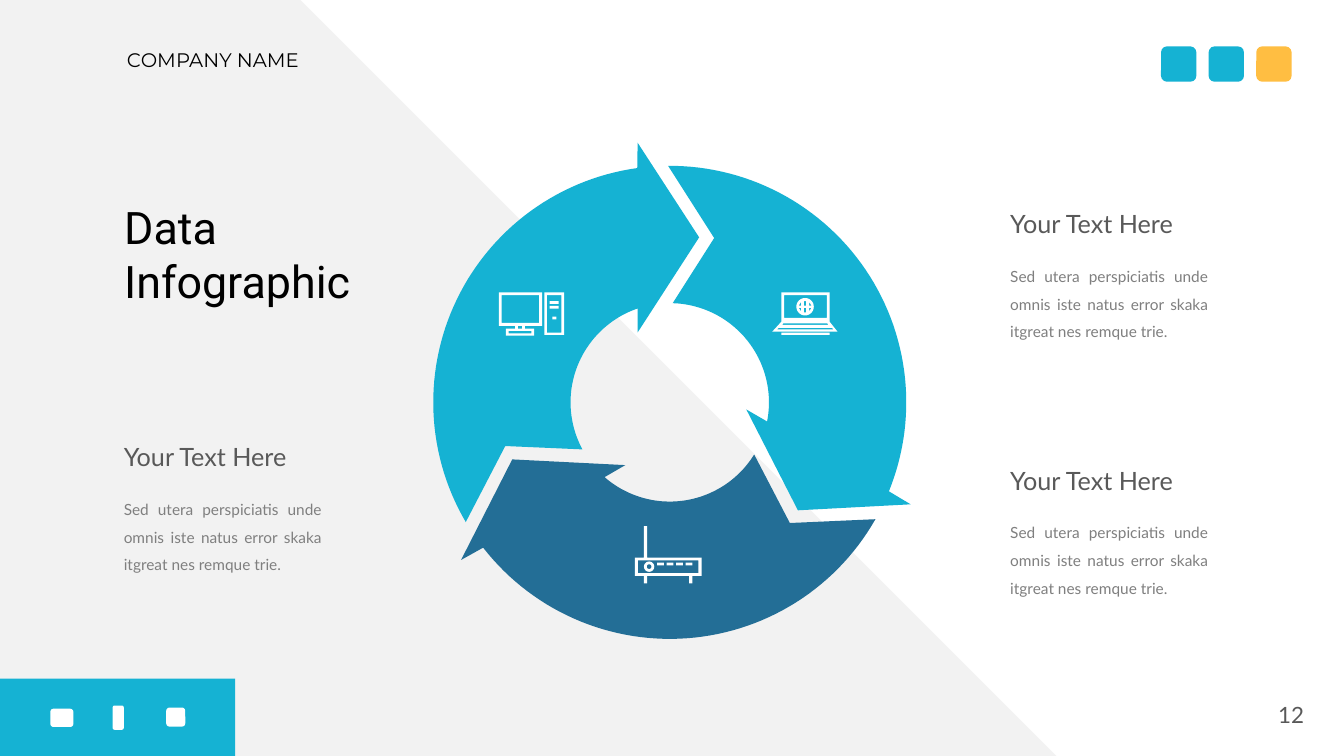
from dataclasses import dataclass, field
from math import cos, radians, sin

from pptx import Presentation
from pptx.dml.color import RGBColor
from pptx.enum.shapes import MSO_SHAPE
from pptx.enum.text import MSO_ANCHOR, PP_ALIGN
from pptx.util import Cm, Pt

WHITE = RGBColor(0xFF, 0xFF, 0xFF)
BLACK = RGBColor(0x00, 0x00, 0x00)
PALE = RGBColor(0xF2, 0xF2, 0xF2)
CYAN = RGBColor(0x15, 0xB2, 0xD3)
NAVY = RGBColor(0x23, 0x6E, 0x96)
AMBER = RGBColor(0xFF, 0xBE, 0x42)
DARK_GREY = RGBColor(0x59, 0x59, 0x59)
GREY = RGBColor(0x7F, 0x7F, 0x7F)

RING_X, RING_Y = 16.88, 10.14
OUTER_RADIUS, INNER_RADIUS = 5.96, 2.5
GLOBE_X, GLOBE_Y = 20.29, 7.73

Contour = list[tuple[float, float]]


@dataclass
class TextStyle:
    color: RGBColor
    font: dict
    para: dict = field(default_factory=dict)
    box: dict = field(default_factory=dict)


@dataclass
class Label:
    text: str
    left: float
    top: float
    width: float
    height: float
    style: TextStyle


@dataclass
class Block:
    kind: MSO_SHAPE
    left: float
    top: float
    width: float
    height: float
    fill: RGBColor
    corner: float | None = None


def rect(left: float, top: float, width: float, height: float) -> Contour:
    right, bottom = left + width, top + height
    return [(left, top), (right, top), (right, bottom), (left, bottom)]


def arc(radius: float, start: float, end: float, steps: int = 60) -> Contour:
    """Points about the origin, with angles clockwise from twelve o'clock."""
    angles = [radians(start + (end - start) * i / steps) for i in range(steps + 1)]
    return [(radius * sin(angle), -radius * cos(angle)) for angle in angles]


def disc(x: float, y: float, radius: float) -> Contour:
    return [(x + dx, y + dy) for dx, dy in arc(radius, 0, 360, 32)]


def ring_arrow(turn: float) -> Contour:
    """One third of the ring, turned clockwise by the given degrees."""
    points = [(1.12, -4.14), *arc(INNER_RADIUS, 1.7, 101.1),
              (1.93, 0.18), (3.23, 2.72), (6.07, 2.57), *arc(OUTER_RADIUS, 112.1, -0.4)]
    c, s = cos(radians(turn)), sin(radians(turn))
    return [(RING_X + x * c - y * s, RING_Y + x * s + y * c) for x, y in points]


NUMBER = TextStyle(DARK_GREY, {"name": "Lato", "size": Pt(16)},
                   {"alignment": PP_ALIGN.CENTER}, {"vertical_anchor": MSO_ANCHOR.MIDDLE})
BODY = TextStyle(GREY, {"name": "Lato", "size": Pt(11)},
                 {"alignment": PP_ALIGN.JUSTIFY, "line_spacing": 1.5})
HEADING = TextStyle(DARK_GREY, {"name": "Lato", "size": Pt(18)})
TITLE = TextStyle(BLACK, {"name": "Roboto", "size": Pt(32)})
COMPANY = TextStyle(BLACK, {"name": "Montserrat", "size": Pt(14)})

BODY_TEXT = "Sed utera perspiciatis unde omnis iste natus error skaka itgreat nes remque trie."
NOTE_PLACES = [(2.87, 11.0), (25.21, 11.59), (25.21, 5.13)]

LABELS = [
    Label("Data Infographic", 2.88, 4.92, 8.05, 3.0, TITLE),
    Label("COMPANY NAME", 2.95, 1.08, 7.85, 0.86, COMPANY),
    Label("12", 28.73, 17.5, 7.62, 1.02, NUMBER),
]
for note_left, note_top in NOTE_PLACES:
    LABELS += [Label("Your Text Here", note_left, note_top, 5.49, 1.02, HEADING),
               Label(BODY_TEXT, note_left, note_top + 1.24, 5.49, 2.29, BODY)]

FOOTER = [
    Block(MSO_SHAPE.RECTANGLE, 0, 17.1, 5.93, 1.95, CYAN),
    Block(MSO_SHAPE.ROUNDED_RECTANGLE, 1.27, 17.86, 0.58, 0.46, WHITE),
    Block(MSO_SHAPE.ROUNDED_RECTANGLE, 2.84, 17.78, 0.28, 0.61, WHITE),
    Block(MSO_SHAPE.ROUNDED_RECTANGLE, 4.19, 17.83, 0.48, 0.48, WHITE),
]
SWATCHES = [Block(MSO_SHAPE.ROUNDED_RECTANGLE, 29.26 + 1.2 * i, 1.17, 0.89, 0.89, color, 0.167)
            for i, color in enumerate([CYAN, CYAN, AMBER])]

# A contour inside another one cuts a hole.
COMPUTER = [
    rect(12.57, 7.37, 1.09, 0.84), rect(12.64, 7.44, 0.95, 0.7),
    rect(12.98, 8.21, 0.07, 0.07), rect(13.16, 8.21, 0.07, 0.07),
    rect(12.75, 8.28, 0.71, 0.18), rect(12.82, 8.34, 0.57, 0.06),
    rect(13.72, 7.37, 0.5, 1.07), rect(13.78, 7.44, 0.37, 0.94),
    rect(13.85, 7.59, 0.23, 0.07), rect(13.85, 7.71, 0.23, 0.07),
    rect(13.92, 7.98, 0.1, 0.07),
]
GLOBE = [
    disc(GLOBE_X, GLOBE_Y, 0.22),
    rect(GLOBE_X - 0.03, GLOBE_Y - 0.14, 0.06, 0.11),
    rect(GLOBE_X - 0.03, GLOBE_Y + 0.03, 0.06, 0.11),
    *[[(GLOBE_X + 0.1 * x, GLOBE_Y + 0.12 * y), (GLOBE_X + 0.1 * x, GLOBE_Y + 0.03 * y),
       (GLOBE_X + 0.16 * x, GLOBE_Y + 0.03 * y)] for x in (-1, 1) for y in (-1, 1)],
]
LAPTOP = [
    rect(19.69, 7.37, 1.22, 0.74), rect(19.76, 7.44, 1.08, 0.57), *GLOBE,
    [(19.69, 8.11), (20.91, 8.11), (21.11, 8.36), (19.46, 8.36)],
    [(19.74, 8.15), (20.85, 8.15), (20.88, 8.19), (19.71, 8.19)],
    [(19.63, 8.26), (20.96, 8.26), (21.01, 8.3), (19.58, 8.3)],
    rect(19.69, 8.38, 1.22, 0.06),
]
ROUTER = [
    rect(16.0, 14.05, 1.68, 0.46), rect(16.08, 14.12, 1.52, 0.32),
    rect(16.23, 13.26, 0.08, 0.79), rect(16.23, 14.51, 0.08, 0.19),
    rect(17.37, 14.51, 0.08, 0.19),
    disc(16.36, 14.28, 0.13), disc(16.36, 14.28, 0.06),
    *[rect(16.56 + 0.24 * i, 14.18, 0.17, 0.07) for i in range(4)],
]


def paint(shape, fill: RGBColor) -> None:
    shape.shadow.inherit = False
    shape.fill.solid()
    shape.fill.fore_color.rgb = fill
    shape.line.fill.background()


def draw_label(page, label: Label) -> None:
    box = page.shapes.add_textbox(Cm(label.left), Cm(label.top), Cm(label.width), Cm(label.height))
    frame = box.text_frame
    frame.word_wrap = True
    para = frame.paragraphs[0]
    span = para.add_run()
    span.text = label.text
    span.font.color.rgb = label.style.color
    for target, formats in ((frame, label.style.box), (para, label.style.para),
                            (span.font, label.style.font)):
        for name, value in formats.items():
            setattr(target, name, value)


def draw_block(page, block: Block) -> None:
    shape = page.shapes.add_shape(block.kind, Cm(block.left), Cm(block.top),
                                  Cm(block.width), Cm(block.height))
    if block.corner is not None:
        shape.adjustments[0] = block.corner
    paint(shape, block.fill)


def draw_outline(page, contours: list[Contour], fill: RGBColor) -> None:
    """Draw all contours as one freeform."""
    first, *others = [[(Cm(x), Cm(y)) for x, y in contour] for contour in contours]
    builder = page.shapes.build_freeform(*first[0])
    builder.add_line_segments(first[1:], close=True)
    for corners in others:
        builder.move_to(*corners[0])
        builder.add_line_segments(corners[1:], close=True)
    paint(builder.convert_to_shape(), fill)


def main() -> None:
    deck = Presentation()
    deck.slide_width, deck.slide_height = Cm(33.87), Cm(19.05)
    page = deck.slides.add_slide(deck.slide_layouts[6])

    draw_outline(page, [[(0, 0), (7.57, 0), (26.62, 19.05), (0, 19.05)]], PALE)
    for turn, color in ((240, CYAN), (0, CYAN), (120, NAVY)):
        draw_outline(page, [ring_arrow(turn)], color)
    for label in LABELS:
        draw_label(page, label)
    for block in FOOTER + SWATCHES:
        draw_block(page, block)
    for icon in (COMPUTER, LAPTOP, ROUTER):
        draw_outline(page, icon, WHITE)
    deck.save("out.pptx")


if __name__ == "__main__":
    main()
